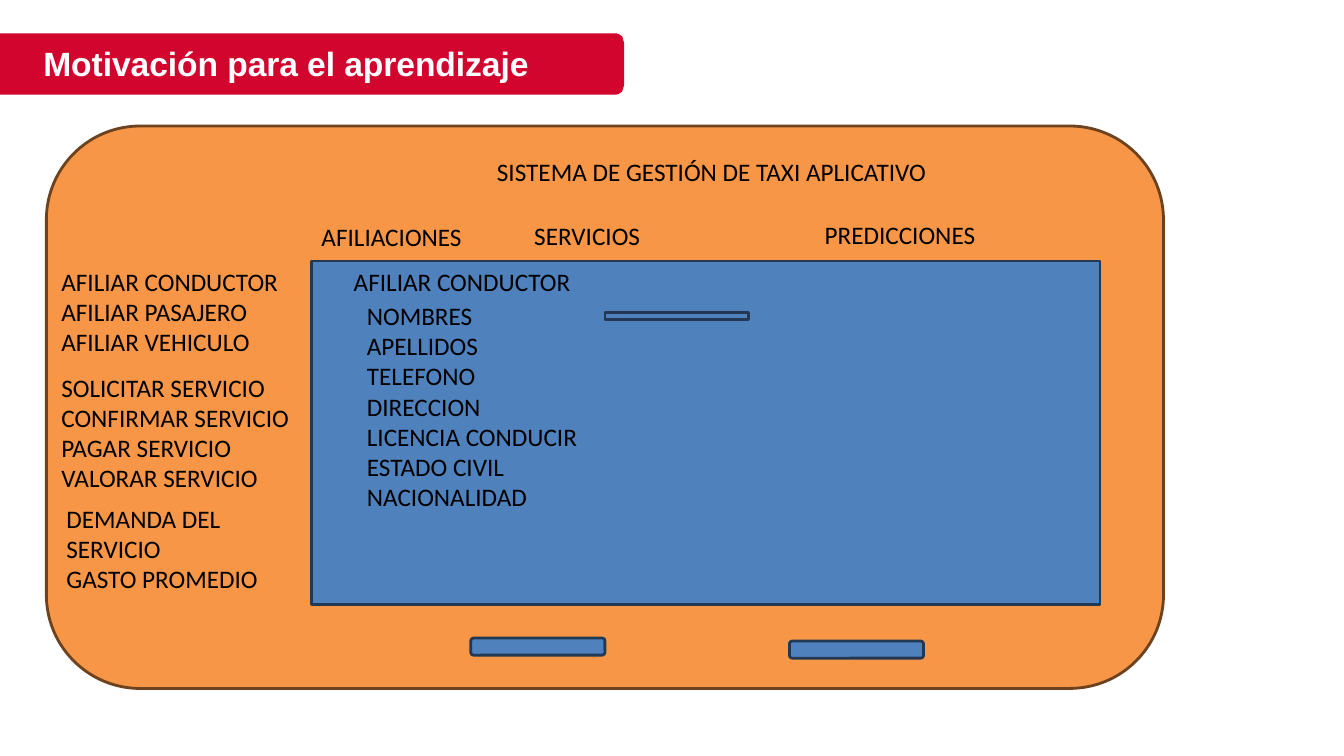
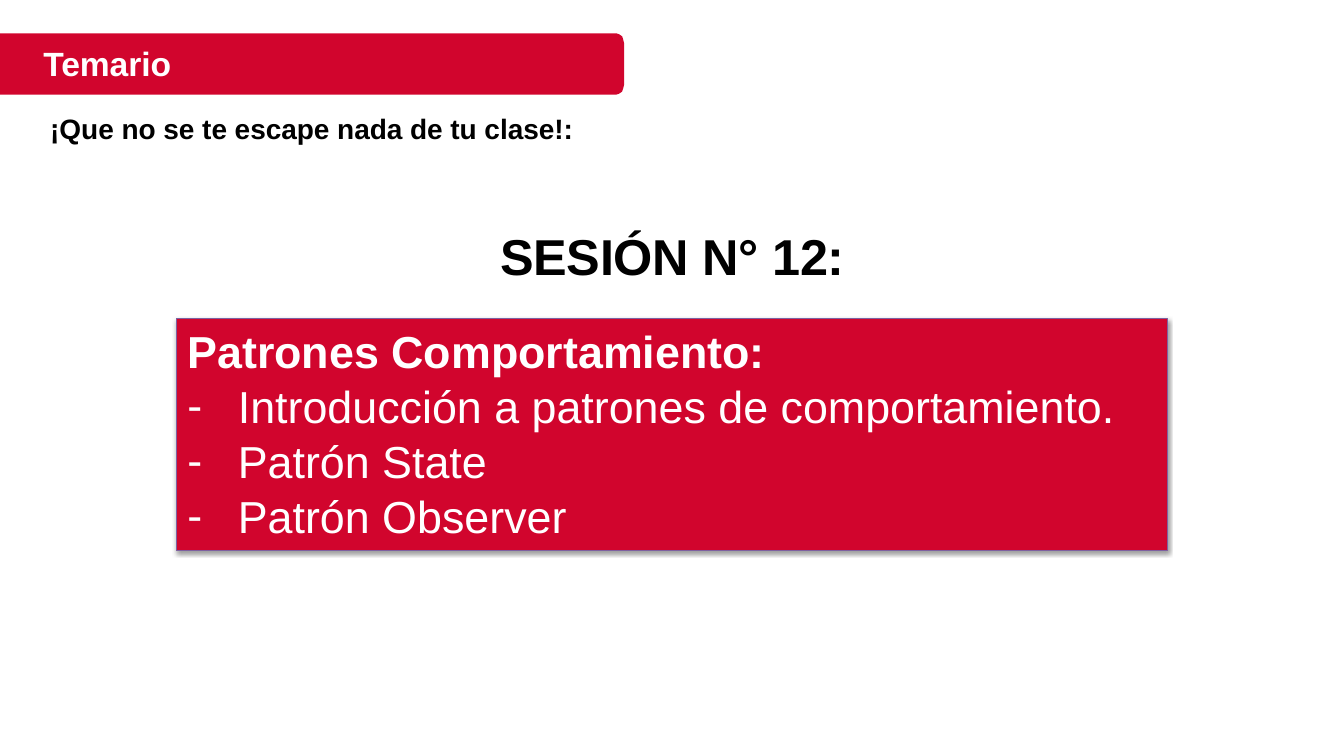
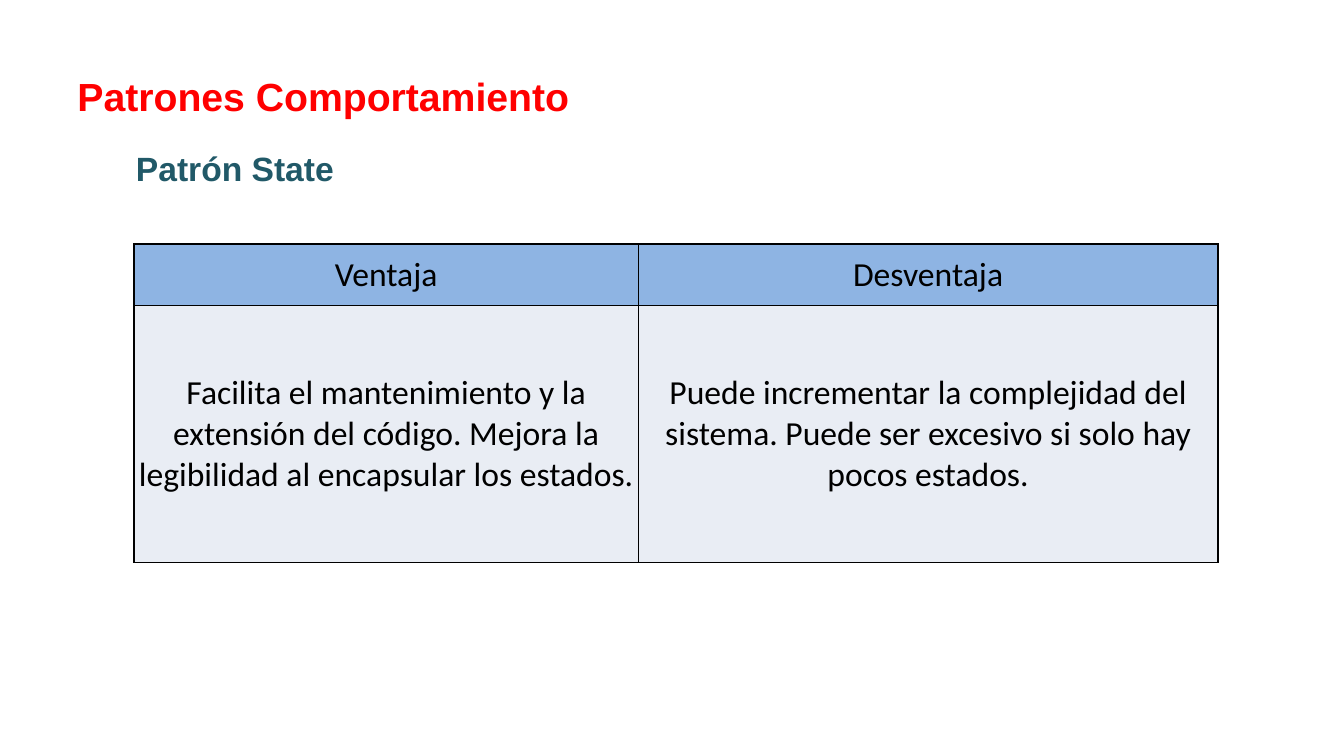
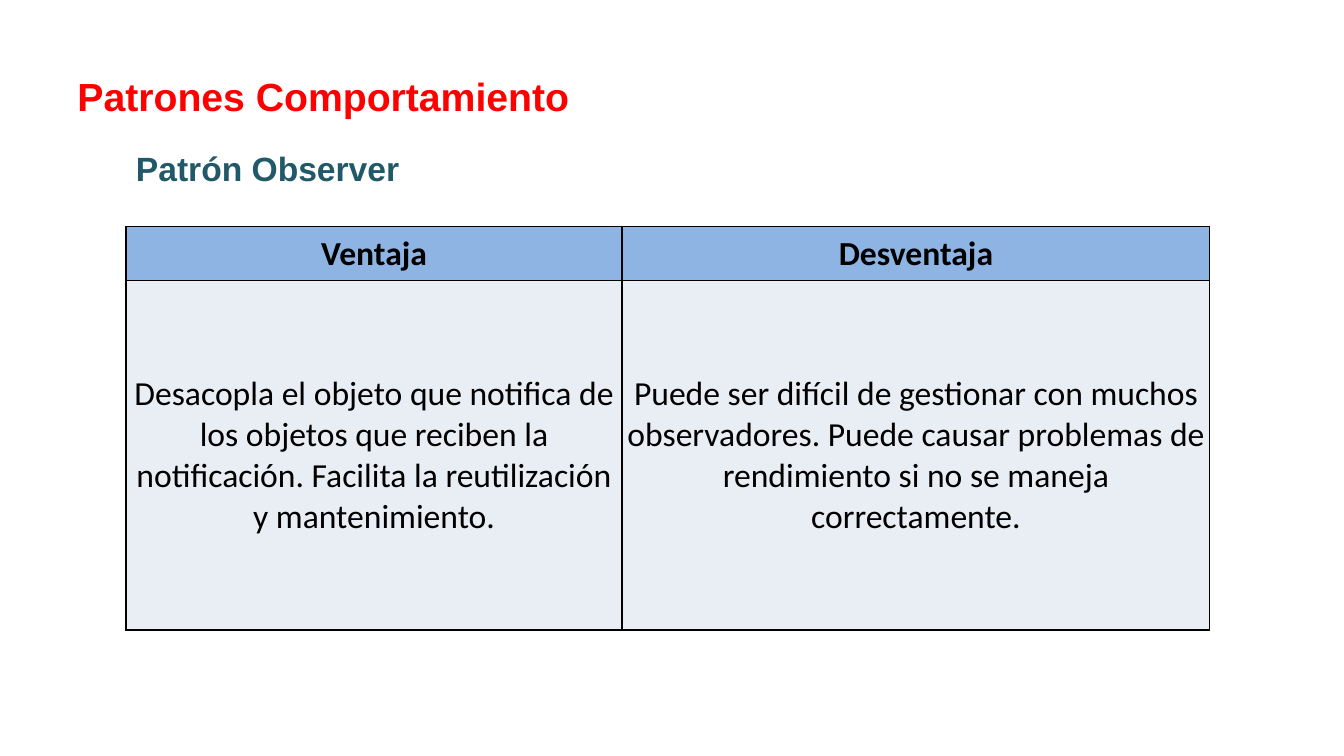
from lxml import etree
from pptx import Presentation
from pptx import util as u
from pptx.dml.color import RGBColor
from pptx.enum import shapes, text
from pptx.oxml import parse_xml
from pptx.oxml.ns import nsdecls, qn

RED = RGBColor(0xD1, 0x05, 0x2D)
BRIGHT_RED = RGBColor(0xFF, 0x00, 0x00)
TEAL = RGBColor(0x21, 0x59, 0x68)
ORANGE = RGBColor(0xF7, 0x96, 0x46)
BROWN = RGBColor(0x6C, 0x42, 0x1F)
BLUE = RGBColor(0x4F, 0x81, 0xBD)
NAVY = RGBColor(0x23, 0x39, 0x53)
PURPLE = RGBColor(0x7D, 0x60, 0xA0)
HEADER_BLUE = RGBColor(0x8E, 0xB4, 0xE3)
PALE_BLUE = RGBColor(0xE9, 0xED, 0xF4)
BLACK = RGBColor(0, 0, 0)
WHITE = RGBColor(0xFF, 0xFF, 0xFF)

LABEL = {"name": "Calibri", "size": 18, "color": BLACK}
CELL = {"name": "Calibri", "size": 24, "color": BLACK, "bold": False}
BAND_TITLE = {"name": "Arial", "size": 24, "color": WHITE, "bold": True, "spacing": -5}
TAGLINE = {"name": "Arial", "size": 20, "color": BLACK, "bold": True, "spacing": -5}
SESSION = {"name": "Arial", "size": 36, "color": BLACK, "bold": True, "spacing": -20}
TOPIC = {"name": "Arial", "size": 32, "color": WHITE, "bold": False}
HEADING = {"name": "Arial", "size": 28, "color": BRIGHT_RED, "bold": True}
SUBHEADING = {"name": "Arial", "size": 24, "color": TEAL, "bold": True}

PANEL_MARGINS = (0.1, 0.05, 0.1, 0.05)
CELL_MARGINS = (0.01, 0.01, 0.01, 0)


def inches(*lengths):
    return [u.Inches(length) for length in lengths]


def set_margins(holder, margins):
    for side, margin in zip(("left", "top", "right", "bottom"), margins):
        setattr(holder, f"margin_{side}", u.Inches(margin))


def write_run(paragraph, words, style):
    run = paragraph.add_run()
    run.text = words
    for key, value in style.items():
        if key == "color":
            run.font.color.rgb = value
        elif key == "spacing":
            run._r.get_or_add_rPr().set("spc", str(value))
        else:
            setattr(run.font, key, u.Pt(value) if key == "size" else value)


def write_lines(frame, lines, style, align=text.PP_ALIGN.LEFT):
    for index, line in enumerate(lines):
        paragraph = frame.paragraphs[0] if index == 0 else frame.add_paragraph()
        paragraph.alignment = align
        write_run(paragraph, line, style)


def add_text(slide, box, lines, style, align=text.PP_ALIGN.LEFT, margins=PANEL_MARGINS):
    frame = slide.shapes.add_textbox(*inches(*box)).text_frame
    frame.word_wrap = True
    frame.auto_size = text.MSO_AUTO_SIZE.SHAPE_TO_FIT_TEXT
    set_margins(frame, margins)
    write_lines(frame, lines, style, align)


def add_block(slide, kind, box, fill, line, width=2):
    block = slide.shapes.add_shape(kind, *inches(*box))
    block.shadow.inherit = False
    block.fill.solid()
    block.fill.fore_color.rgb = fill
    block.line.color.rgb = line
    block.line.width = u.Pt(width)
    return block


def add_title_band(slide, title, left=0, top=0.33, width=6.19, height=0.61):
    # Band with a rounded right end
    corner = [(0.08, 0), (0.05, 0.01), (0.02, 0.03), (0.01, 0.06), (0, 0.1)]
    upper = [(width - dx, dy) for dx, dy in corner]
    lower = [(x, height - y) for x, y in reversed(upper)]
    outline = [inches(x, y) for x, y in upper + lower + [(0, height)]]
    builder = slide.shapes.build_freeform(0, 0)
    builder.add_line_segments(outline, close=True)
    band = builder.convert_to_shape(*inches(left, top))
    band.shadow.inherit = False
    band.fill.solid()
    band.fill.fore_color.rgb = RED
    band.line.fill.background()
    # Title
    add_text(slide, (left + 0.42, top + 0.09, 5.17, 0.42), [title], BAND_TITLE,
             margins=(0.01, 0.01, 0, 0))


def add_app_window(slide, left, top, width, height):
    add_block(slide, shapes.MSO_SHAPE.ROUNDED_RECTANGLE, (left, top, width, height),
              ORANGE, BROWN)
    # Window title, tabs and side menus
    labels = [
        (4.37, 0.25, 4.75, ["SISTEMA DE GESTIÓN DE TAXI APLICATIVO"]),
        (2.63, 0.9, 1.99, ["AFILIACIONES"]),
        (4.74, 0.89, 1.99, ["SERVICIOS"]),
        (7.62, 0.88, 1.99, ["PREDICCIONES"]),
        (0.05, 1.34, 2.59, ["AFILIAR CONDUCTOR", "AFILIAR PASAJERO", "AFILIAR VEHICULO"]),
        (0.05, 2.39, 2.59, ["SOLICITAR SERVICIO", "CONFIRMAR SERVICIO",
                            "PAGAR SERVICIO", "VALORAR SERVICIO"]),
        (0.1, 3.69, 2.59, ["DEMANDA DEL SERVICIO", "GASTO PROMEDIO"]),
    ]
    for dx, dy, label_width, lines in labels:
        add_text(slide, (left + dx, top + dy, label_width, 0.1 + 0.3 * len(lines)),
                 lines, LABEL)
    add_driver_form(slide, left + 2.63, top + 1.34, 7.82, 3.41)
    # Buttons below the form
    for dx, dy in ((4.21, 5.08), (7.37, 5.11)):
        add_block(slide, shapes.MSO_SHAPE.ROUNDED_RECTANGLE,
                  (left + dx, top + dy, 1.33, 0.17), BLUE, NAVY)


def add_driver_form(slide, left, top, width, height):
    add_block(slide, shapes.MSO_SHAPE.RECTANGLE, (left, top, width, height), BLUE, NAVY)
    fields = ["NOMBRES", "APELLIDOS", "TELEFONO", "DIRECCION", "LICENCIA CONDUCIR",
              "ESTADO CIVIL", "NACIONALIDAD"]
    add_text(slide, (left + 0.45, top + 0.34, 3.09, 2.22), fields, LABEL)
    add_block(slide, shapes.MSO_SHAPE.ACTION_BUTTON_CUSTOM,
              (left + 2.91, top + 0.51, 1.42, 0.07), BLUE, NAVY)
    add_text(slide, (left + 0.32, top, 4.75, 0.4), ["AFILIAR CONDUCTOR"], LABEL)


def add_topics(slide, left, top, width, height, title, topics):
    panel = add_block(slide, shapes.MSO_SHAPE.RECTANGLE, (left, top, width, height),
                      RED, PURPLE, 0.75)
    # Soft shadow below the panel
    effects = panel._element.spPr.find(qn("a:effectLst"))
    effects.append(parse_xml(
        f'<a:outerShdw {nsdecls("a")} blurRad="40000" dist="20000" dir="5400000" '
        'rotWithShape="0"><a:srgbClr val="000000"><a:alpha val="38000"/></a:srgbClr>'
        '</a:outerShdw>'))
    frame = panel.text_frame
    frame.word_wrap = True
    frame.vertical_anchor = text.MSO_ANCHOR.TOP
    set_margins(frame, (0.11, 0.05, 0.1, 0.05))
    write_lines(frame, [title], TOPIC | {"bold": True})
    # Dashed list
    for topic in topics:
        paragraph = frame.add_paragraph()
        properties = paragraph._p.get_or_add_pPr()
        properties.set("marL", str(u.Inches(0.5)))
        properties.set("indent", str(-u.Inches(0.5)))
        etree.SubElement(properties, qn("a:buFont")).set("typeface", "Arial")
        etree.SubElement(properties, qn("a:buChar")).set("char", "-")
        paragraph.alignment = text.PP_ALIGN.LEFT
        paragraph.space_before = u.Pt(1)
        write_run(paragraph, topic, TOPIC)


def add_borders(cell):
    properties = cell._tc.get_or_add_tcPr()
    for index, side in enumerate("LRTB"):
        properties.insert(index, parse_xml(
            f'<a:ln{side} {nsdecls("a")} w="12700"><a:solidFill>'
            f'<a:srgbClr val="{BLACK}"/></a:solidFill></a:ln{side}>'))


def add_comparison(slide, left, top, widths, heights, pros, cons, bold_header):
    table = slide.shapes.add_table(
        2, 2, *inches(left, top, sum(widths), sum(heights))).table
    table.first_row = table.horz_banding = False
    for column, width in zip(table.columns, widths):
        column.width = u.Inches(width)
    rows = [(("Ventaja", "Desventaja"), HEADER_BLUE, bold_header),
            ((pros, cons), PALE_BLUE, False)]
    for row, height, (entries, fill, bold) in zip(table.rows, heights, rows):
        row.height = u.Inches(height)
        for cell, entry in zip(row.cells, entries):
            cell.fill.solid()
            cell.fill.fore_color.rgb = fill
            cell.vertical_anchor = text.MSO_ANCHOR.MIDDLE
            set_margins(cell, CELL_MARGINS)
            write_lines(cell.text_frame, [entry], CELL | {"bold": bold},
                        text.PP_ALIGN.CENTER)
            add_borders(cell)


def motivation_slide(slide):
    add_title_band(slide, "Motivación para el aprendizaje")
    add_app_window(slide, 0.46, 1.25, 11.08, 5.58)


def agenda_slide(slide):
    add_topics(slide, 1.75, 3.16, 9.83, 2.3, "Patrones Comportamiento:",
               ["Introducción a patrones de comportamiento.", "Patrón State",
                "Patrón Observer"])
    add_text(slide, (4.46, 2.18, 4.42, 0.71), ["SESIÓN N° 12:"], SESSION,
             text.PP_ALIGN.CENTER)
    add_title_band(slide, "Temario")
    add_text(slide, (0.4, 1.06, 5.86, 0.44),
             ["¡Que no se te escape nada de tu clase!:"], TAGLINE)


def pattern_slide(slide, pattern, **comparison):
    add_text(slide, (0.67, 0.67, 6.66, 0.57), ["Patrones Comportamiento"], HEADING)
    add_text(slide, (1.25, 1.42, 8.08, 0.5), [pattern], SUBHEADING)
    add_comparison(slide, **comparison)


def main():
    deck = Presentation()
    deck.slide_width, deck.slide_height = inches(13.33, 7.5)
    blank = deck.slide_layouts[6]

    motivation_slide(deck.slides.add_slide(blank))
    agenda_slide(deck.slides.add_slide(blank))
    pattern_slide(
        deck.slides.add_slide(blank), "Patrón State",
        left=1.33, top=2.42, widths=(5, 5.75), heights=(0.61, 2.55), bold_header=False,
        pros="Facilita el mantenimiento y la extensión del código. "
             "Mejora la legibilidad al encapsular los estados.",
        cons="Puede incrementar la complejidad del sistema. "
             "Puede ser excesivo si solo hay pocos estados.")
    pattern_slide(
        deck.slides.add_slide(blank), "Patrón Observer",
        left=1.25, top=2.25, widths=(4.92, 5.83), heights=(0.53, 3.47), bold_header=True,
        pros="Desacopla el objeto que notifica de los objetos que reciben la "
             "notificación. Facilita la reutilización y mantenimiento.",
        cons="Puede ser difícil de gestionar con muchos observadores. Puede causar "
             "problemas de rendimiento si no se maneja correctamente.")
    deck.save("out.pptx")


if __name__ == "__main__":
    main()
